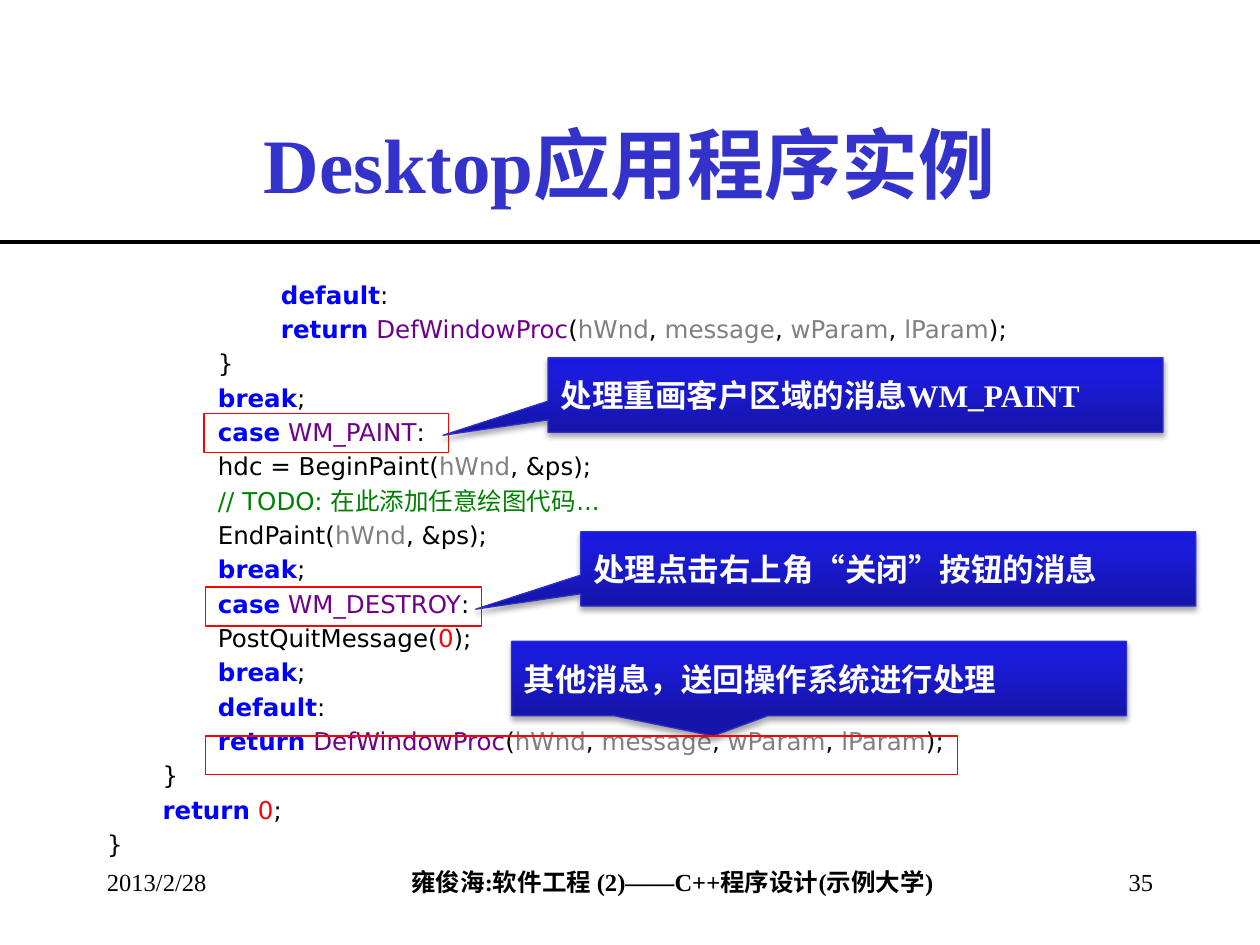
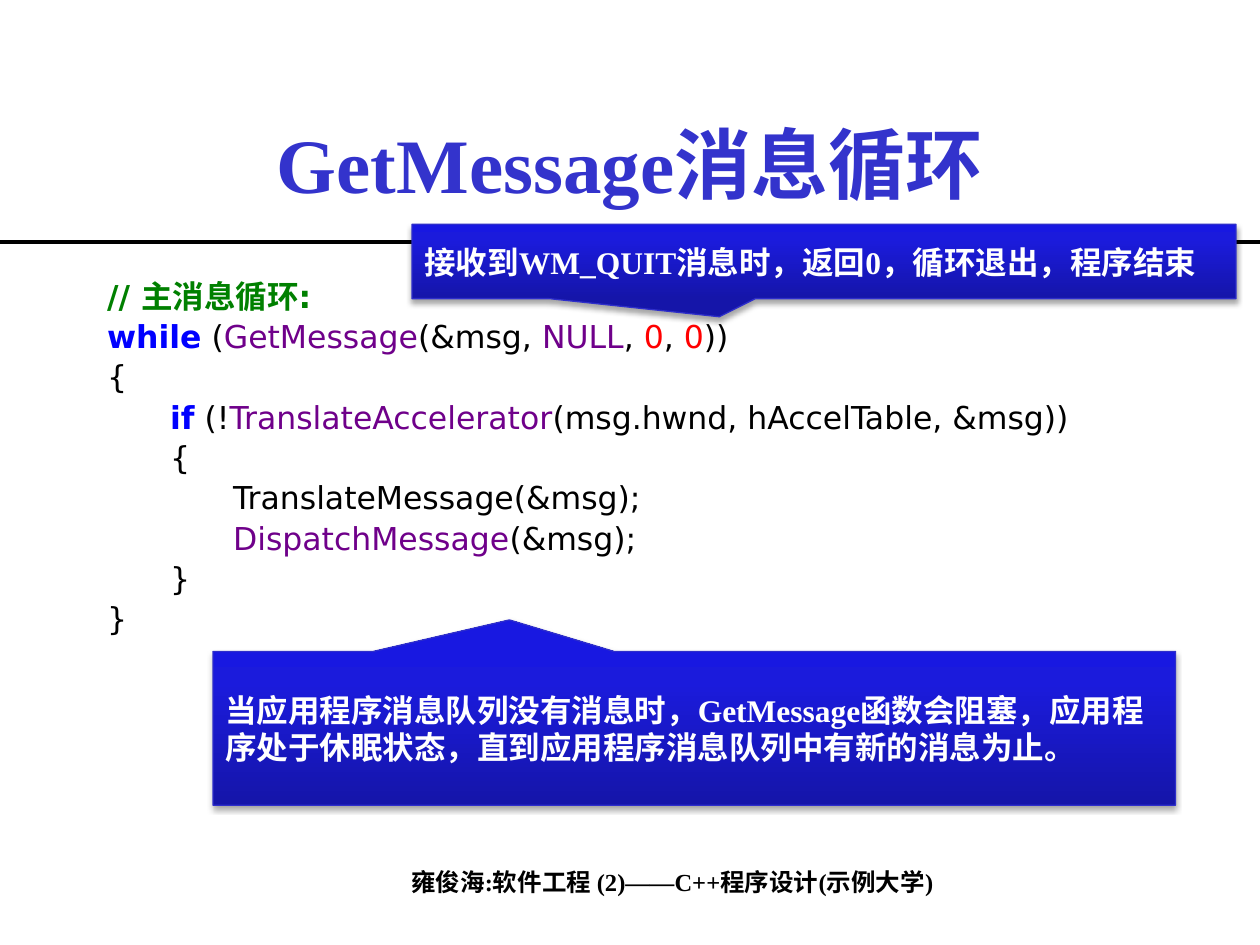
from dataclasses import dataclass
from itertools import groupby

from pptx import Presentation
from pptx import util as u
from pptx.dml.color import RGBColor
from pptx.enum import lang, shapes, text
from pptx.oxml import parse_xml
from pptx.oxml.ns import nsdecls, qn
from pptx.oxml.xmlchemy import OxmlElement


@dataclass(frozen=True)
class Theme:
    serif: str = "Times New Roman"
    sans: str = "DejaVu Sans"
    black: str = "000000"
    white: str = "FFFFFF"
    title: str = "3333CC"
    key: str = "0000FF"
    name: str = "6F008A"
    arg: str = "808080"
    num: str = "FF0000"
    note: str = "008000"
    box: str = "FF0000"
    edge: str = "2E2ECB"
    grad: tuple = ((0, "1515A9"), (80, "1B1BDC"), (100, "1818E1"))
    head: int = 44
    call: int = 18
    small: int = 14


T = Theme()

WORDS = {
    T.key: "default return break case while if",
    T.name: "DefWindowProc WM_PAINT WM_DESTROY GetMessage NULL "
            "TranslateAccelerator DispatchMessage",
    T.arg: "hWnd message wParam lParam",
    T.num: "0",
}
COLORS = {word: color for color, words in WORDS.items() for word in words.split()}

FOOTER = "雍俊海:软件工程 (2)——C++程序设计(示例大学)"

PAINT = [
    (3, "default:"),
    (3, "return DefWindowProc(hWnd, message, wParam, lParam);"),
    (2, "}"),
    (2, "break;"),
    (2, "case WM_PAINT:"),
    (2, "hdc = BeginPaint(hWnd, &ps);"),
    (2, "// TODO: 在此添加任意绘图代码..."),
    (2, "EndPaint(hWnd, &ps);"),
    (2, "break;"),
    (2, "case WM_DESTROY:"),
    (2, "PostQuitMessage(0);"),
    (2, "break;"),
    (2, "default:"),
    (2, "return DefWindowProc(hWnd, message, wParam, lParam);"),
    (1, "}"),
    (1, "return 0;"),
    (0, "}"),
]

LOOP = [
    (0, "// 主消息循环:"),
    (0, "while (GetMessage(&msg, NULL, 0, 0))"),
    (0, "{"),
    (1, "if (!TranslateAccelerator(msg.hwnd, hAccelTable, &msg))"),
    (1, "{"),
    (2, "TranslateMessage(&msg);"),
    (2, "DispatchMessage(&msg);"),
    (1, "}"),
    (0, "}"),
]


def rgb(color):
    return RGBColor.from_string(color)


def write(para, words, size=T.small, font=T.serif, color=T.black, bold=False,
          align=None):
    run = para.add_run()
    run.text = words
    run.font.size = u.Pt(size)
    run.font.name = font
    run.font.bold = bold
    run.font.color.rgb = rgb(color)
    run.font.language_id = lang.MSO_LANGUAGE_ID.SIMPLIFIED_CHINESE
    if align is not None:
        para.alignment = align


def place(shape, *box):
    shape.left, shape.top, shape.width, shape.height = map(u.Inches, box)


def label(slide, words, box, **style):
    frame = slide.shapes.add_textbox(*map(u.Inches, box)).text_frame
    frame.word_wrap = True
    write(frame.paragraphs[0], words, **style)
    return frame


def base(deck, title):
    slide = deck.slides.add_slide(deck.slide_layouts[1])
    foot = label(slide, FOOTER, (2.05, 6.83, 6.57, 0.33), bold=True,
                 align=text.PP_ALIGN.CENTER)
    foot.margin_left = foot.margin_right = 0
    rule = slide.shapes.add_connector(
        shapes.MSO_CONNECTOR.STRAIGHT, 0, u.Inches(1.92), u.Inches(10), u.Inches(1.92))
    rule.line.color.rgb = rgb(T.black)
    rule.line.width = u.Pt(2.25)
    rule._element.spPr.append(OxmlElement("a:effectLst"))
    head = slide.shapes.title
    place(head, 0.75, 0.67, 8.5, 1.25)
    head.text_frame.auto_size = text.MSO_AUTO_SIZE.NONE
    head.text_frame.vertical_anchor = text.MSO_ANCHOR.MIDDLE
    write(head.text_frame.paragraphs[0], title, size=T.head, color=T.title,
          bold=True, align=text.PP_ALIGN.CENTER)
    return slide


def tokens(line):
    if line.startswith("//"):
        return [(T.note, line)]
    words = ["".join(part) for _, part in
             groupby(line, lambda char: char.isalnum() or char == "_")]
    return [(color, "".join(part)) for color, part in
            groupby(words, lambda word: COLORS.get(word, T.black))]


def code(slide, lines, top, size, steps, space=None, strong=(T.key,)):
    body = slide.placeholders[1]
    place(body, 0.75, top, 8.5, 4.5)
    frame = body.text_frame
    frame.auto_size = text.MSO_AUTO_SIZE.NONE
    for at, (level, line) in enumerate(lines):
        para = frame.add_paragraph() if at else frame.paragraphs[0]
        para.level = level
        para.line_spacing = space
        props = para._p.get_or_add_pPr()
        props.set("marL", str(u.Inches(steps[level])))
        props.set("indent", "0")
        props.append(OxmlElement("a:buNone"))
        for color, words in tokens(line):
            write(para, words, size=size, font=T.sans, color=color,
                  bold=color in strong)


def outline(slide, *box):
    rect = slide.shapes.add_shape(shapes.MSO_SHAPE.RECTANGLE, *map(u.Inches, box))
    rect.shadow.inherit = False
    rect.fill.background()
    rect.line.color.rgb = rgb(T.box)
    rect.line.width = u.Pt(0.75)


def callout(slide, words, box, tip):
    shape = slide.shapes.add_shape(
        shapes.MSO_SHAPE.RECTANGULAR_CALLOUT, *map(u.Inches, box))
    shape.adjustments[0], shape.adjustments[1] = tip
    shape.line.color.rgb = rgb(T.edge)
    shape.line.width = u.Pt(0.75)
    shape.shadow.inherit = False
    props = shape._element.spPr
    stops = "".join(f'<a:gs pos="{at * 1000}"><a:srgbClr val="{color}"/></a:gs>'
                    for at, color in T.grad)
    props.insert(2, parse_xml(
        f'<a:gradFill {nsdecls("a")} rotWithShape="1"><a:gsLst>{stops}</a:gsLst>'
        '<a:lin ang="16200000" scaled="0"/></a:gradFill>'))
    props.find(qn("a:effectLst")).append(parse_xml(
        f'<a:outerShdw {nsdecls("a")} blurRad="40000" dist="23000" dir="5400000" '
        f'rotWithShape="0"><a:srgbClr val="{T.black}"><a:alpha val="35000"/>'
        '</a:srgbClr></a:outerShdw>'))
    frame = shape.text_frame
    frame.word_wrap = True
    frame.vertical_anchor = text.MSO_ANCHOR.MIDDLE
    write(frame.paragraphs[0], words, size=T.call, color=T.white, bold=True,
          align=text.PP_ALIGN.LEFT)


def sample(deck):
    slide = base(deck, "Desktop应用程序实例")
    code(slide, PAINT, 2.17, 14, (0, 0.44, 0.88, 1.38))
    label(slide, "2013/2/28", (0.75, 6.83, 2.08, 0.5))
    label(slide, "35", (7.17, 6.83, 2.08, 0.5), align=text.PP_ALIGN.RIGHT)
    outline(slide, 1.62, 3.28, 1.94, 0.31)
    side, down = (-0.671, 0.542), (-0.172, 0.772)
    for words, left, top, tip in (
            ("处理重画客户区域的消息WM_PAINT", 4.35, 2.84, side),
            ("处理点击右上角“关闭”按钮的消息", 4.61, 4.22, side),
            ("其他消息，送回操作系统进行处理", 4.06, 5.09, down)):
        callout(slide, words, (left, top, 4.88, 0.59), tip)
    outline(slide, 1.63, 5.84, 5.97, 0.31)
    outline(slide, 1.63, 4.66, 2.19, 0.31)


def loop(deck):
    slide = base(deck, "GetMessage消息循环")
    code(slide, LOOP, 2.18, 18, (0, 0.5, 1), space=0.9, strong=(T.key, T.note))
    callout(slide, "接收到WM_QUIT消息时，返回0，循环退出，程序结束",
            (3.27, 1.78, 6.54, 0.59), (-0.127, 0.744))
    callout(slide, "当应用程序消息队列没有消息时，GetMessage函数会阻塞，应用程序处于休眠状态，"
            "直到应用程序消息队列中有新的消息为止。",
            (1.69, 5.17, 7.64, 1.22), (-0.192, -0.705))


def main():
    deck = Presentation()
    deck.slide_width, deck.slide_height = u.Inches(10), u.Inches(7.5)
    sample(deck)
    loop(deck)
    deck.save("out.pptx")


main()
